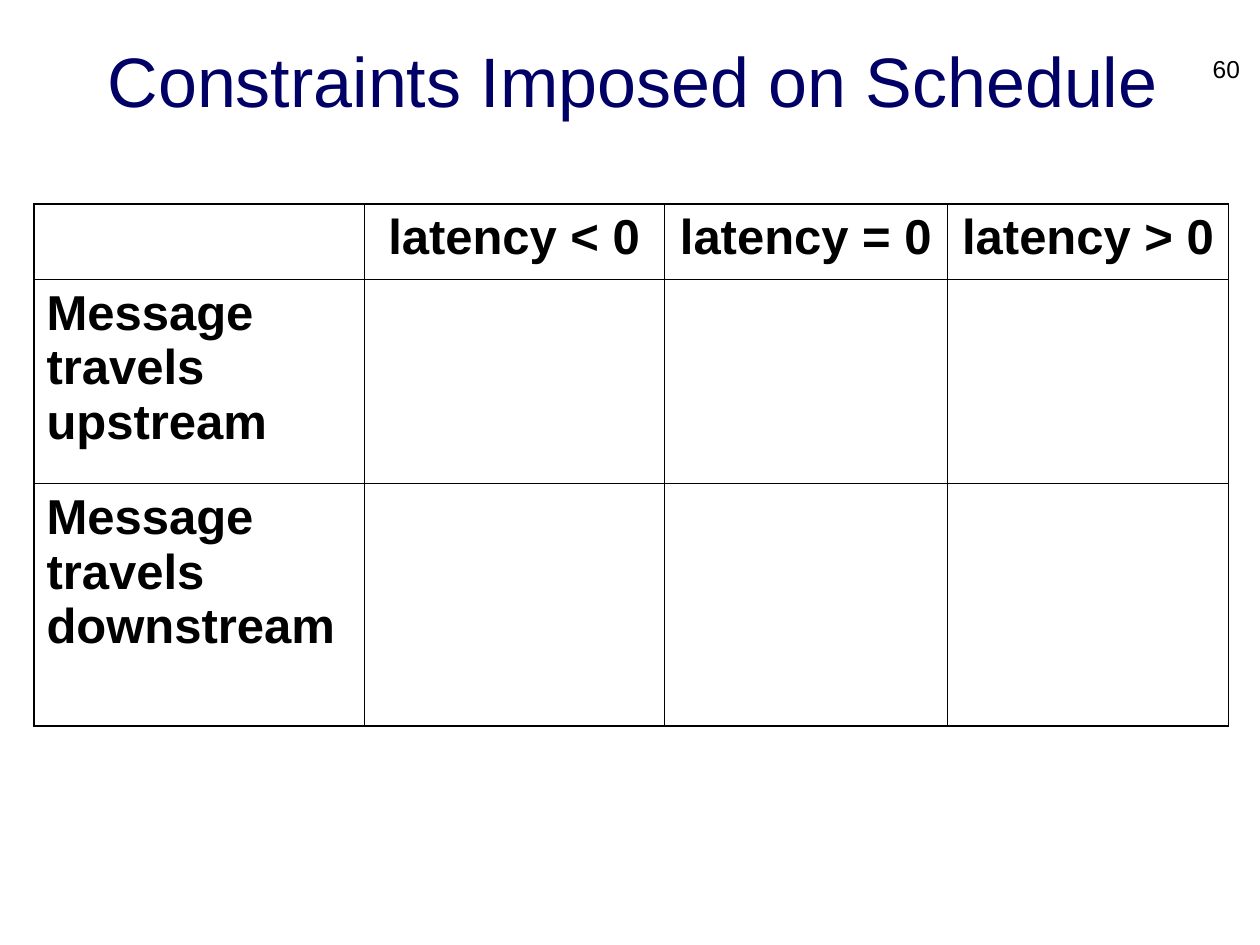
import lxml.etree
import pptx
import pptx.dml.color
import pptx.enum.text
import pptx.oxml.ns
import pptx.util
from pptx.util import Inches

NAVY = pptx.dml.color.RGBColor(0x00, 0x00, 0x66)
BLACK = pptx.dml.color.RGBColor(0x00, 0x00, 0x00)
WHITE = pptx.dml.color.RGBColor(0xFF, 0xFF, 0xFF)
ALIGN = pptx.enum.text.PP_ALIGN
ANCHOR = pptx.enum.text.MSO_ANCHOR

FONT = "Arial"
OUTER_LINE = 1.08
INNER_LINE = 0.45
COLUMN_WIDTHS = [2.62, 2.38, 2.25, 2.23]
ROW_HEIGHTS = [0.6, 1.62, 1.92]
ROWS = [
    ["", "latency < 0", "latency = 0", "latency > 0"],
    ["Message travels upstream", "", "", ""],
    ["Message travels downstream", "", "", ""],
]


def write_text(frame, text, size, color, alignment, bold=False):
    para = frame.paragraphs[0]
    para.text = text
    para.alignment = alignment
    para.font.name = FONT
    para.font.size = pptx.util.Pt(size)
    para.font.bold = bold
    para.font.color.rgb = color


def add_text(page, left, top, width, height, text, size, color, alignment, anchor):
    box = page.shapes.add_textbox(
        Inches(left), Inches(top), Inches(width), Inches(height)
    )
    box.text_frame.word_wrap = True
    box.text_frame.vertical_anchor = anchor
    write_text(box.text_frame, text, size, color, alignment)


def add_border(cell, side, points):
    qualified = pptx.oxml.ns.qn
    properties = cell._tc.get_or_add_tcPr()
    line = lxml.etree.SubElement(properties, qualified("a:ln" + side))
    line.set("w", str(pptx.util.Pt(points)))
    fill = lxml.etree.SubElement(line, qualified("a:solidFill"))
    lxml.etree.SubElement(fill, qualified("a:srgbClr")).set("val", str(BLACK))


def format_cell(cell, row, column):
    on_edge = {
        "L": column == 0,
        "R": column == len(COLUMN_WIDTHS) - 1,
        "T": row == 0,
        "B": row == len(ROW_HEIGHTS) - 1,
    }
    for side, outer in on_edge.items():
        add_border(cell, side, OUTER_LINE if outer else INNER_LINE)
    if row and column:
        cell.fill.solid()
        cell.fill.fore_color.rgb = WHITE
    else:
        cell.fill.background()


def add_constraint_table(page):
    table = page.shapes.add_table(
        len(ROW_HEIGHTS),
        len(COLUMN_WIDTHS),
        Inches(0.27),
        Inches(1.62),
        Inches(sum(COLUMN_WIDTHS)),
        Inches(sum(ROW_HEIGHTS)),
    ).table
    table.first_row = False
    table.horz_banding = False
    for column, width in zip(table.columns, COLUMN_WIDTHS):
        column.width = Inches(width)
    for row, height in zip(table.rows, ROW_HEIGHTS):
        row.height = Inches(height)
    for row, labels in enumerate(ROWS):
        for column, label in enumerate(labels):
            cell = table.cell(row, column)
            format_cell(cell, row, column)
            if label:
                alignment = ALIGN.LEFT if row else ALIGN.CENTER
                write_text(cell.text_frame, label, 28, BLACK, alignment, bold=True)


def main():
    deck = pptx.Presentation()
    deck.slide_width = Inches(10)
    deck.slide_height = Inches(7.5)
    page = deck.slides.add_slide(deck.slide_layouts[6])
    add_text(page, 0.29, 0.19, 9.46, 0.88, "Constraints Imposed on Schedule",
             40, NAVY, ALIGN.CENTER, ANCHOR.MIDDLE)
    add_constraint_table(page)
    add_text(page, 9.46, 0.38, 0.48, 0.3, "60", 14, BLACK, ALIGN.RIGHT, ANCHOR.TOP)
    deck.save("out.pptx")


if __name__ == "__main__":
    main()
